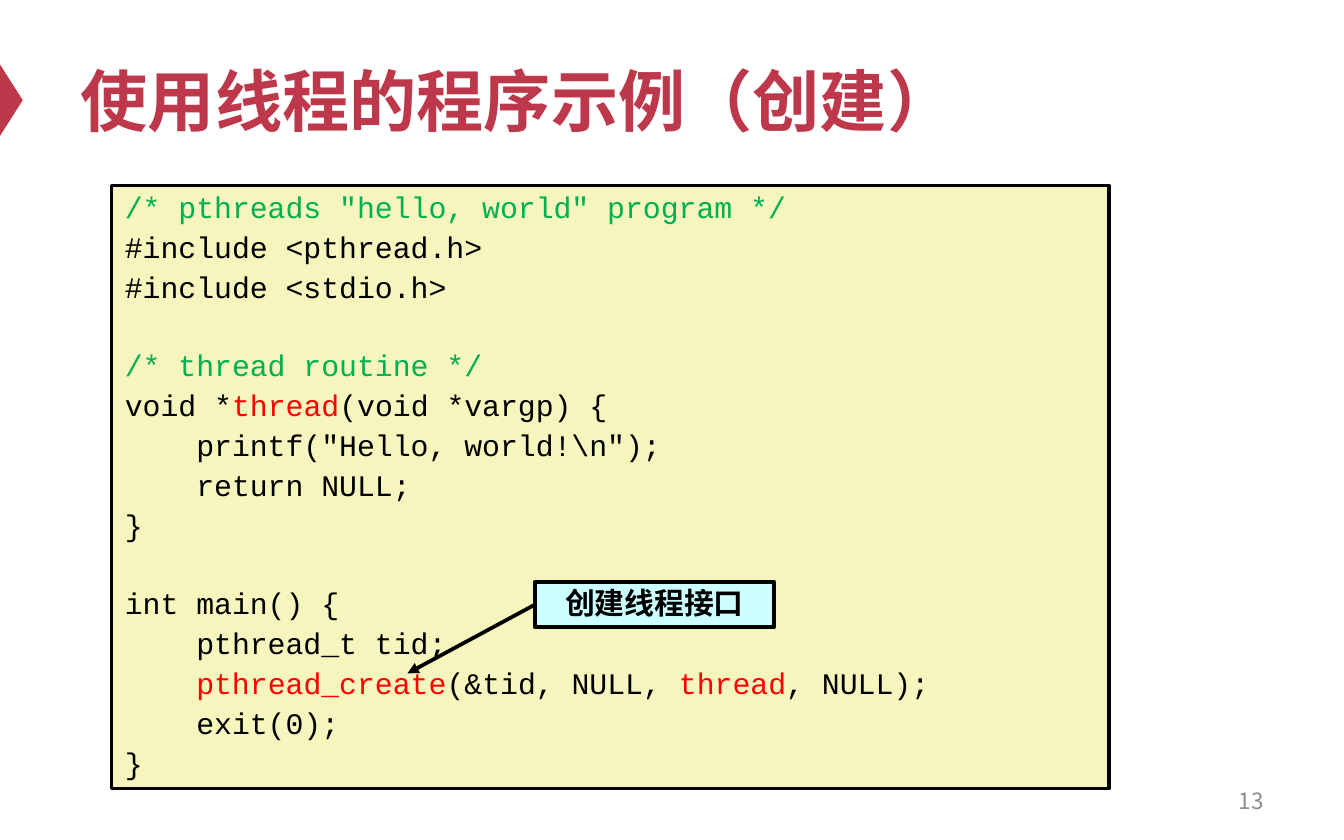
from lxml.etree import SubElement
from pptx import Presentation
from pptx.dml.color import RGBColor
from pptx.enum.shapes import MSO_CONNECTOR, MSO_SHAPE
from pptx.enum.text import MSO_ANCHOR, MSO_AUTO_SIZE, PP_ALIGN
from pptx.oxml.ns import qn
from pptx.util import Cm, Pt

CRIMSON, BLACK, GREEN, RED = "BE384B", "000000", "00B050", "FF0000"
CJK, MONO = "Noto Sans CJK SC", "Courier New"
LINE_GAP, SECTION_GAP = 4.15, 24.6

SECTIONS = [
    [
        [('/* pthreads "hello, world" program */', GREEN)],
        [("#include <pthread.h>", BLACK)],
        [("#include <stdio.h>", BLACK)],
    ],
    [
        [("/* thread routine */", GREEN)],
        [("void *", BLACK), ("thread", RED), ("(void *vargp) {", BLACK)],
        [('    printf("Hello, world!\\n");', BLACK)],
        [("    return NULL;", BLACK)],
        [("}", BLACK)],
    ],
    [
        [("int main() {", BLACK)],
        [("    pthread_t tid;", BLACK)],
        [("    ", BLACK), ("pthread_create", RED), ("(&tid, NULL, ", BLACK),
         ("thread", RED), (", NULL);", BLACK)],
        [("    exit(0);", BLACK)],
        [("}", BLACK)],
    ],
]


def paint(color_format, color):
    """Set a colour from a hex string."""
    color_format.rgb = RGBColor.from_string(color)


def add_run(paragraph, text, size, color, font=CJK, bold=False):
    """Append one formatted run."""
    run = paragraph.add_run()
    run.text = text
    run.font.size = Pt(size)
    run.font.bold = bold
    paint(run.font.color, color)
    run.font.name = font
    SubElement(run.font._element, qn("a:ea"), typeface=CJK)


def place(shape, left, top, width, height):
    """Position a shape in centimetres."""
    shape.left, shape.top = Cm(left), Cm(top)
    shape.width, shape.height = Cm(width), Cm(height)


def prepare_frame(shape):
    """Wrap the text and centre it vertically."""
    frame = shape.text_frame
    frame.word_wrap = True
    frame.auto_size = MSO_AUTO_SIZE.NONE
    frame.vertical_anchor = MSO_ANCHOR.MIDDLE
    return frame


def add_title(slide, text):
    """Fill the title placeholder."""
    place(slide.shapes.title, 1.27, 0.64, 22.86, 2.49)
    heading = prepare_frame(slide.shapes.title).paragraphs[0]
    heading.alignment = PP_ALIGN.LEFT
    add_run(heading, text, 36, CRIMSON, "Arial", True)


def add_marker(slide):
    """Draw the triangle pointing at the title from the left edge."""
    marker = slide.shapes.add_shape(
        MSO_SHAPE.ISOSCELES_TRIANGLE, Cm(-0.46), Cm(1.68), Cm(1.35), Cm(0.43))
    marker.rotation = 90
    marker.shadow.inherit = False
    marker.fill.solid()
    paint(marker.fill.fore_color, CRIMSON)
    marker.line.fill.background()


def add_page_number(slide, number):
    """Write the page number at the bottom right."""
    footer = slide.shapes.add_textbox(Cm(18.21), Cm(14.71), Cm(5.92), Cm(0.84))
    paragraph = prepare_frame(footer).paragraphs[0]
    paragraph.alignment = PP_ALIGN.RIGHT
    add_run(paragraph, number, 12, "8C8C8C")


def add_panel(slide, left, top, width, height, color):
    """Draw a black-bordered rectangle and return its text frame."""
    panel = slide.shapes.add_shape(
        MSO_SHAPE.RECTANGLE, Cm(left), Cm(top), Cm(width), Cm(height))
    panel.shadow.inherit = False
    panel.fill.solid()
    paint(panel.fill.fore_color, color)
    paint(panel.line.color, BLACK)
    panel.line.width = Pt(2)
    return prepare_frame(panel)


def add_code(slide, sections):
    """Draw the listing with a wider gap between its sections."""
    frame = add_panel(slide, 2.11, 3.51, 18.85, 11.4, "F6F5BD")
    for section_index, section in enumerate(sections):
        for line_index, line in enumerate(section):
            if section_index or line_index:
                paragraph = frame.add_paragraph()
                paragraph.space_before = Pt(LINE_GAP if line_index else SECTION_GAP)
            else:
                paragraph = frame.paragraphs[0]
            paragraph.alignment = PP_ALIGN.LEFT
            paragraph.line_spacing = 0.9
            for text, color in line:
                add_run(paragraph, text, 16, color, MONO)


def add_callout(slide, text):
    """Draw the label and its arrow to the code."""
    label = add_panel(slide, 10.11, 11, 4.52, 0.86, "CCFFFF").paragraphs[0]
    label.alignment = PP_ALIGN.CENTER
    label.line_spacing = 0.9
    add_run(label, text, 16, BLACK, bold=True)
    arrow = slide.shapes.add_connector(
        MSO_CONNECTOR.STRAIGHT, Cm(10.11), Cm(11.43), Cm(7.7), Cm(12.73))
    paint(arrow.line.color, BLACK)
    arrow.line.width = Pt(2)
    SubElement(arrow.line._get_or_add_ln(), qn("a:tailEnd"), type="triangle")
    SubElement(arrow._element.spPr, qn("a:effectLst"))


def main():
    """Build and save the slide."""
    deck = Presentation()
    deck.slide_width, deck.slide_height = Cm(25.4), Cm(15.88)
    slide = deck.slides.add_slide(deck.slide_layouts[5])
    add_marker(slide)
    add_title(slide, "使用线程的程序示例（创建）")
    add_page_number(slide, "13")
    add_code(slide, SECTIONS)
    add_callout(slide, "创建线程接口")
    deck.save("out.pptx")


if __name__ == "__main__":
    main()
